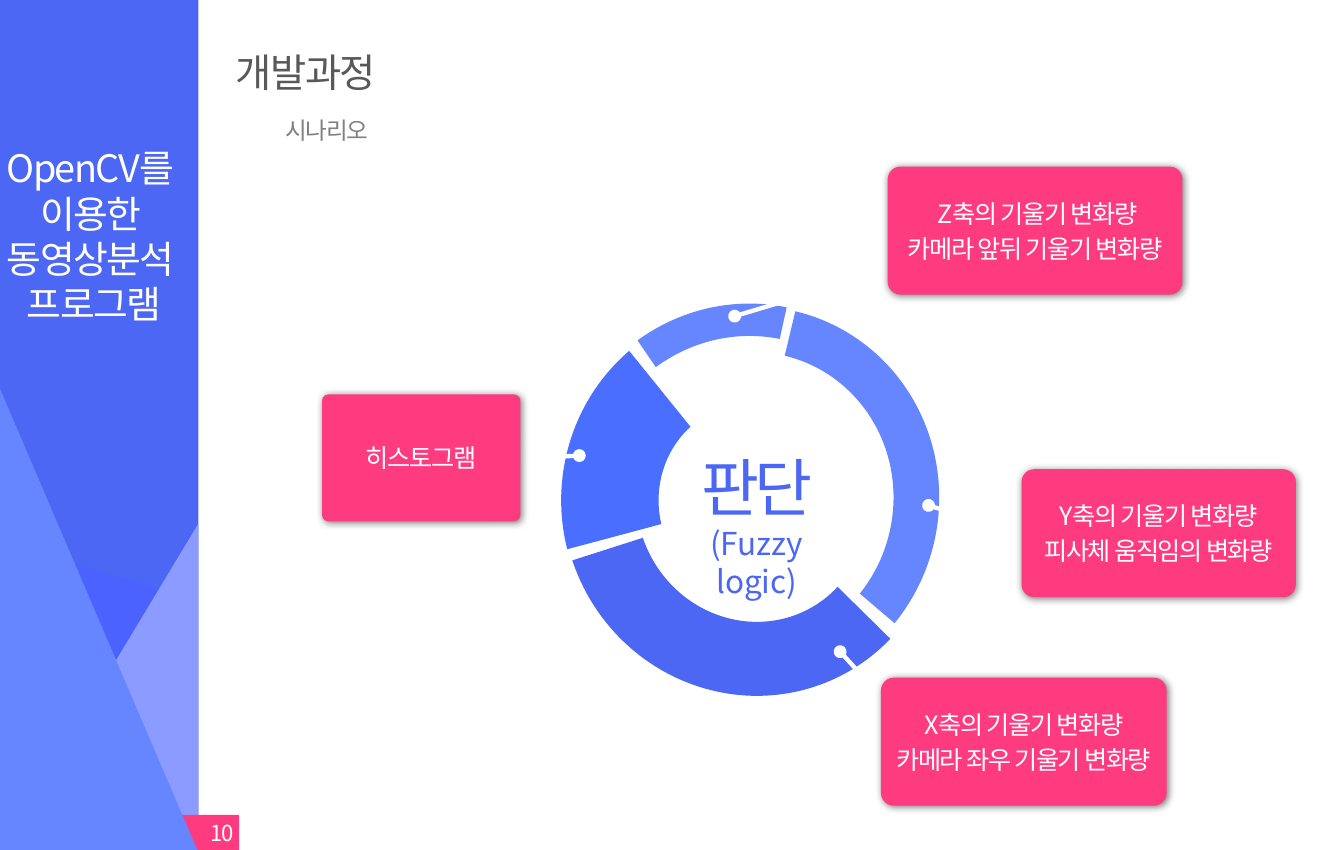
from lxml import etree
from pptx import Presentation
from pptx import util as u
from pptx.dml.color import RGBColor
from pptx.enum import shapes, text
from pptx.oxml.ns import qn

PX = 9144  # EMU in one px, 100 px to the inch
FONT = "Noto Sans CJK KR"
COLORS = {
    "royal": "4C67F3", "deep": "4B62FF", "blue": "4A6EFF", "sky": "6686FF",
    "lilac": "8B9BFF", "pink": "FF3B80", "white": "FFFFFF",
    "heading": "595959", "subheading": "808080", "black": "000000",
}
SHAPE = shapes.MSO_SHAPE
CENTER, LEFT, RIGHT = text.PP_ALIGN.CENTER, text.PP_ALIGN.LEFT, text.PP_ALIGN.RIGHT
TOP, MIDDLE = text.MSO_ANCHOR.TOP, text.MSO_ANCHOR.MIDDLE


def emu(*lengths):
    return [u.Emu(length * PX) for length in lengths]


def rgb(color):
    return RGBColor.from_string(COLORS[color])


def paint(shape, color):
    shape.shadow.inherit = False
    shape.fill.solid()
    shape.fill.fore_color.rgb = rgb(color)
    shape.line.fill.background()


def add_preset(slide, kind, box, color, adjustments=(), rotation=0):
    shape = slide.shapes.add_shape(kind, *emu(*box))
    for index, value in enumerate(adjustments):
        shape.adjustments[index] = value
    shape.rotation = rotation
    paint(shape, color)
    return shape


def write(shape, lines, sizes, color, align=CENTER, anchor=MIDDLE,
          insets=(0, 0, 0, 0), spacing=-100, gap=0):
    """Fill a shape with one paragraph per line; one size per paragraph."""
    frame = shape.text_frame
    frame.text = "\n".join(lines)
    frame.word_wrap = True
    frame.auto_size = text.MSO_AUTO_SIZE.NONE
    frame.vertical_anchor = anchor
    (frame.margin_left, frame.margin_top,
     frame.margin_right, frame.margin_bottom) = emu(*insets)
    for index, (paragraph, size) in enumerate(zip(frame.paragraphs, sizes)):
        paragraph.alignment = align
        if index and gap:
            paragraph.space_before = u.Pt(gap)
        for run in paragraph.runs:
            run.font.size = u.Pt(size)
            run.font.color.rgb = rgb(color)
            run.font.name = FONT
            properties = run._r.get_or_add_rPr()
            properties.set("spc", str(spacing))
            etree.SubElement(properties, qn("a:ea"), typeface=FONT)


def add_label(slide, box, lines, sizes, color, **layout):
    label = slide.shapes.add_textbox(*emu(*box))
    write(label, lines, sizes, color, **layout)
    return label


def add_shadow(shape):
    effects = shape._element.spPr.find(qn("a:effectLst"))
    shadow = etree.SubElement(
        effects, qn("a:outerShdw"), blurRad=str(u.Pt(5)), dist=str(u.Pt(1)),
        dir=str(45 * 60000), algn="tl", rotWithShape="0")
    tint = etree.SubElement(shadow, qn("a:srgbClr"), val=COLORS["black"])
    etree.SubElement(tint, qn("a:alpha"), val="49000")


def add_leader(slide, start, end):
    leader = slide.shapes.add_connector(
        shapes.MSO_CONNECTOR.STRAIGHT, *emu(*start, *end))
    leader.line.color.rgb = rgb("white")
    leader.line.width = u.Pt(2.75)
    outline = leader.line._get_or_add_ln()
    for tip in ("a:headEnd", "a:tailEnd"):
        etree.SubElement(outline, qn(tip), type="oval")
    etree.SubElement(leader._element.spPr, qn("a:effectLst"))


def add_callout(slide, start, end, box, corner, lines):
    add_leader(slide, start, end)
    card = add_preset(slide, SHAPE.ROUNDED_RECTANGLE, box, "pink", [corner])
    add_shadow(card)
    write(card, lines, [16] * len(lines), "white", spacing=-80, gap=3.2)


def add_sidebar(slide):
    add_preset(slide, SHAPE.RECTANGLE, (-6, -1, 181, 751), "royal")
    builder = slide.shapes.build_freeform(160, 525, scale=PX)
    builder.add_line_segments([(95, 633), (16, 483)], close=True)
    paint(builder.convert_to_shape(), "deep")
    add_preset(slide, SHAPE.ISOSCELES_TRIANGLE, (1, 462, 174, 289), "lilac", [1])
    add_preset(slide, SHAPE.ROUNDED_RECTANGLE, (102, 719, 80, 31), "pink", [0.02])
    add_preset(slide, SHAPE.ISOSCELES_TRIANGLE, (0, 343, 174, 407), "sky", [0])
    page_number = add_preset(slide, SHAPE.RECTANGLE, (180, 719, 31, 31), "pink")
    write(page_number, ["10"], [14], "white", align=RIGHT, insets=(0, 0, 5, 0))


def add_title(slide):
    title = slide.shapes.title
    title.left, title.top, title.width, title.height = emu(-4, 18, 174, 313)
    lines = ["OpenCV를 ", "이용한 ", "동영상분석 ", "프로그램"]
    write(title, ["\v".join(lines)], [24], "white", anchor=TOP,
          insets=(0, 110, 0, 5))
    # Bring the title in front of the sidebar
    title._element.getparent().append(title._element)


def add_ring(slide):
    segments = [
        ((492, 277, 343, 333), 242.1, "royal", (97.5, 168.07, 0.196)),
        ((495, 270, 333, 343), 0, "blue", (99, 138.64, 0.258)),
        ((490, 275, 343, 333), 105, "sky", (107.08, 177.23, 0.121)),
        ((491, 267, 332, 343), 24.1, "sky", (126.87, 154.99, 0.086)),
    ]
    for box, rotation, color, arc in segments:
        add_preset(slide, SHAPE.BLOCK_ARC, box, color, arc, rotation)
    verdict = add_label(slide, (579, 391, 177, 111), ["판단", "(Fuzzy logic)"],
                        [40, 20], "royal", anchor=TOP, insets=(20, 5, 20, 5),
                        spacing=0)
    verdict.text_frame.paragraphs[0].runs[0]._r.rPr.set("spc", "-300")


def main():
    deck = Presentation()
    deck.slide_width, deck.slide_height = u.Cm(30.11), u.Cm(19.05)
    slide = deck.slides.add_slide(deck.slide_layouts[5])

    # Sidebar and headings
    add_sidebar(slide)
    add_title(slide)
    add_label(slide, (196, 33, 989, 61), ["개발과정"], [25], "heading",
              align=LEFT, insets=(12, 0, 0, 0))
    add_label(slide, (240, 98, 931, 34), ["시나리오"], [15], "subheading",
              align=LEFT, insets=(12, 0, 0, 0))

    # Ring with its four inputs
    add_ring(slide)
    callouts = [
        ((741, 575), (814, 655), (777, 598, 252, 113), 0.1,
         ["X축의 기울기 변화량", "카메라 좌우 기울기 변화량"]),
        ((819, 446), (901, 471), (901, 414, 242, 113), 0.1,
         ["Y축의 기울기 변화량", "피사체 움직임의 변화량"]),
        ((511, 402), (438, 406), (284, 348, 175, 112), 0.05, ["히스토그램"]),
        ((648, 279), (834, 223), (783, 147, 260, 113), 0.1,
         [" Z축의 기울기 변화량", "카메라 앞뒤 기울기 변화량"]),
    ]
    for callout in callouts:
        add_callout(slide, *callout)

    deck.save("out.pptx")


if __name__ == "__main__":
    main()
